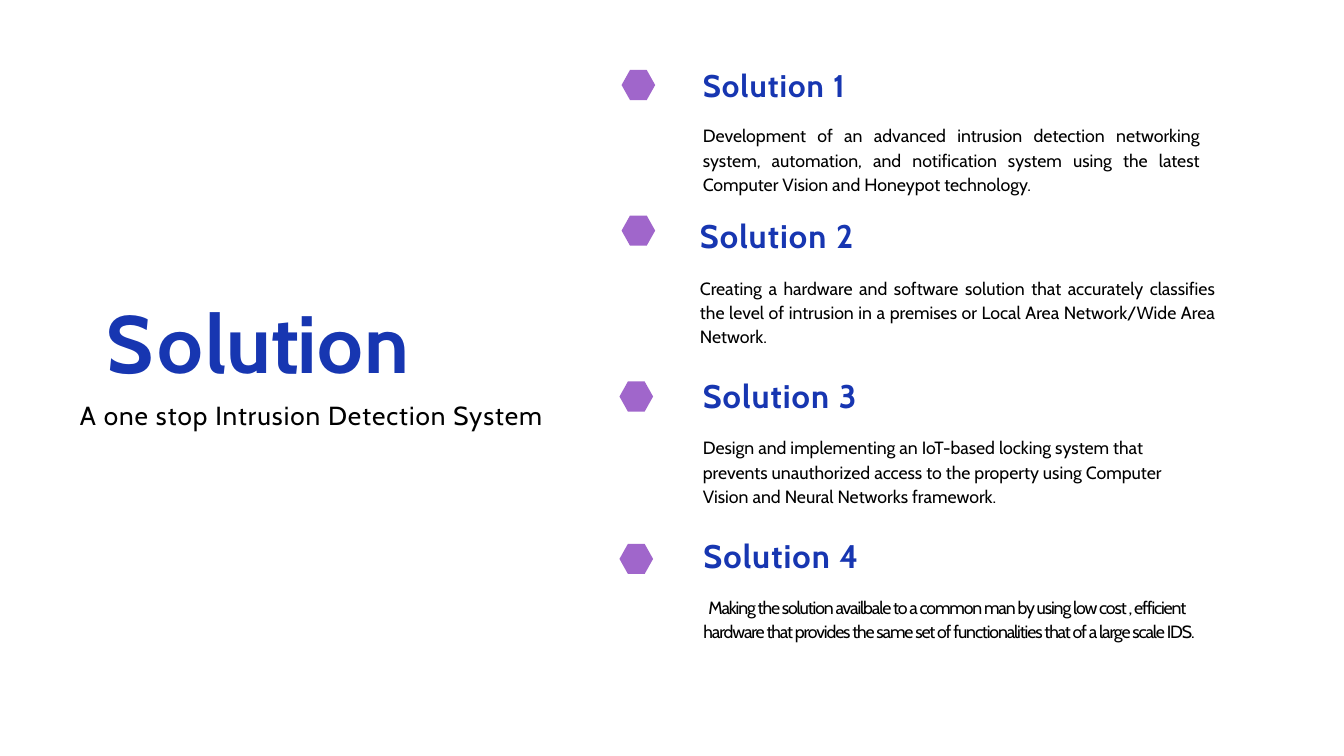
from dataclasses import dataclass

from pptx import Presentation, util as u
from pptx.dml.color import RGBColor
from pptx.enum import shapes, text

PX = 9525  # 96 px to the inch
FONT = "Cabin"
BLUE, BLACK, PURPLE = "1736B1", "000000", "A066CB"
LEFT, JUSTIFY = text.PP_ALIGN.LEFT, text.PP_ALIGN.JUSTIFY
HEXAGON_W, HEXAGON_H = 48, 43


@dataclass
class Solution:
    number: str
    number_spacing: float
    body: str
    left: int
    top: int
    width: int
    height: int
    hexagon_left: int
    hexagon_top: int
    size: float = 35
    align: text.PP_ALIGN = LEFT
    right_inset: int = 0
    body_spacing: float = 0
    body_indent: int = 0


SOLUTIONS = [
    Solution("1", -3.6, "Development of an advanced intrusion detection networking system, "
             "automation, and notification system using the latest Computer Vision and "
             "Honeypot technology.",
             1004, 93, 710, 188, 888, 100, size=33.5, align=JUSTIFY),
    Solution("2", -2.2, "Creating a hardware and software solution that accurately classifies "
             "the level of intrusion in a premises or Local Area Network/Wide Area Network.",
             1000, 308, 736, 191, 888, 308, align=JUSTIFY),
    Solution("3", -2.1, "Design and implementing an IoT-based locking system that prevents "
             "unauthorized access to the property using Computer Vision and Neural Networks "
             "framework.",
             1004, 536, 734, 191, 885, 545, right_inset=24),
    Solution("4", -1, "Making the solution availbale to a common man by using low cost , "
             "efficient hardware that provides the same set of functionalities that of a "
             "large scale IDS.",
             1005, 764, 734, 191, 885, 777, body_spacing=-1.2, body_indent=7),
]

TITLE_RUNS = [("S", 4.7), ("o", 1.6), ("l", 0.1), ("u", -1.5), ("ti", -1.4),
              ("o", 1.6), ("n", -1)]


def rgb(color: str) -> RGBColor:
    return RGBColor.from_string(color)


def px(*lengths: int) -> list[u.Emu]:
    return [u.Emu(n * PX) for n in lengths]


def prepare_frame(tf, right_inset: int = 0) -> None:
    tf.word_wrap = True
    tf.auto_size = text.MSO_AUTO_SIZE.SHAPE_TO_FIT_TEXT
    tf.vertical_anchor = text.MSO_ANCHOR.TOP
    tf.margin_left, tf.margin_top, tf.margin_right, tf.margin_bottom = px(0, 1, right_inset, 0)


def write(p, runs: list[tuple[str, float]], size: float, color: str,
          bold: bool = False, align: text.PP_ALIGN = LEFT) -> None:
    """Fill a paragraph with (text, letter spacing in points) runs."""
    p.alignment = align
    p.font.name, p.font.size, p.font.bold = FONT, u.Pt(size), bold
    p.font.color.rgb = rgb(color)
    for words, spacing in runs:
        r = p.add_run()
        r.text = words
        if spacing:
            r._r.get_or_add_rPr().set("spc", str(round(spacing * 100)))


def add_title(s) -> None:
    sp = s.shapes.title
    sp.left, sp.top, sp.width, sp.height = px(152, 417, 448, 142)
    prepare_frame(sp.text_frame)
    write(sp.text_frame.paragraphs[0], TITLE_RUNS, 87, BLUE, bold=True)


def add_subtitle(s) -> None:
    sp = s.shapes.add_textbox(*px(104, 559, 682, 113))
    tf = sp.text_frame
    prepare_frame(tf)
    tf.margin_left, tf.margin_top, tf.margin_right, tf.margin_bottom = px(10, 5, 10, 5)
    p = tf.paragraphs[0]
    p.line_spacing = 1.15
    write(p, [("A one stop Intrusion Detection System", 1.1)], 28, BLACK, align=JUSTIFY)


def add_solution(s, item: Solution) -> None:
    sp = s.shapes.add_textbox(*px(item.left, item.top, item.width, item.height))
    tf = sp.text_frame
    prepare_frame(tf, item.right_inset)
    write(tf.paragraphs[0], [("Solution ", 1.1), (item.number, item.number_spacing)],
          item.size, BLUE, bold=True, align=item.align)
    body = tf.add_paragraph()
    body.line_spacing, body.space_before = 1.15, u.Pt(20)
    if item.body_indent:
        body._p.get_or_add_pPr().set("indent", str(item.body_indent * PX))
    write(body, [(item.body, item.body_spacing)], 19, BLACK, align=item.align)


def add_hexagon(s, left: int, top: int) -> None:
    sp = s.shapes.add_shape(shapes.MSO_SHAPE.HEXAGON, *px(left, top, HEXAGON_W, HEXAGON_H))
    sp.adjustments[0] = 0.28
    sp.shadow.inherit = False
    sp.fill.solid()
    sp.fill.fore_color.rgb = rgb(PURPLE)
    sp.line.fill.background()


def main() -> None:
    prs = Presentation()
    prs.slide_width, prs.slide_height = px(1920, 1080)
    s = prs.slides.add_slide(prs.slide_layouts[5])
    add_title(s)
    add_subtitle(s)
    for item in SOLUTIONS:
        add_solution(s, item)
        add_hexagon(s, item.hexagon_left, item.hexagon_top)
    prs.save("out.pptx")


if __name__ == "__main__":
    main()
